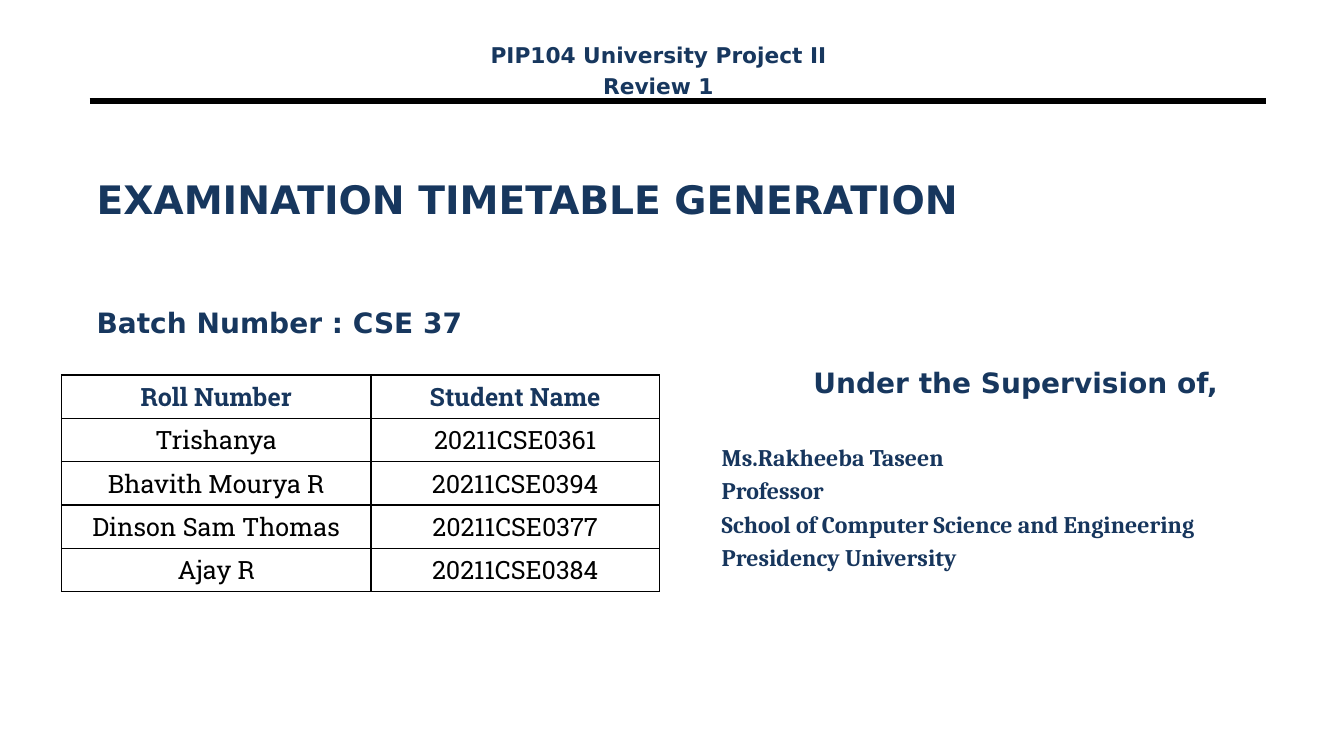
from lxml import etree
from pptx import Presentation
from pptx.dml.color import RGBColor
from pptx.enum import shapes, text
from pptx.oxml import ns
from pptx.util import Inches, Pt

NAVY = RGBColor(0x17, 0x37, 0x5E)
BLUE = RGBColor(0x17, 0x36, 0x5D)
BLACK = RGBColor(0, 0, 0)
SANS, SERIF, SLAB = "DejaVu Sans", "Cambria", "Roboto Slab"
LEFT, MID = text.PP_ALIGN.LEFT, text.PP_ALIGN.CENTER

ROWS = [
    ("Roll Number", "Student Name"),
    ("Trishanya", "20211CSE0361"),
    ("Bhavith Mourya R", "20211CSE0394"),
    ("Dinson Sam Thomas", "20211CSE0377"),
    ("Ajay R", "20211CSE0384"),
]
GUIDE = [
    "Ms.Rakheeba Taseen",
    "Professor",
    "School of Computer Science and Engineering",
    "Presidency University",
]


def style(para, font, size, color, bold=True, align=LEFT, gap=0):
    para.alignment = align
    para.space_before = Pt(gap)
    for run in para.runs:
        run.font.name = font
        run.font.size = Pt(size)
        run.font.bold = bold
        run.font.color.rgb = color


def add_text(slide, box, lines, size, align=LEFT, gap=0):
    frame = slide.shapes.add_textbox(*map(Inches, box)).text_frame
    frame.word_wrap = True
    frame.text = "\n".join(lines)
    for para in frame.paragraphs:
        style(para, SANS, size, NAVY, align=align, gap=gap)
    return frame


def add_rule(slide):
    rule = slide.shapes.add_connector(
        shapes.MSO_CONNECTOR.STRAIGHT,
        Inches(0.89), Inches(1), Inches(12.56), Inches(1))
    rule.line.color.rgb = BLACK
    rule.line.width = Pt(4.5)
    etree.SubElement(rule._element.spPr, ns.qn("a:effectLst"))


def add_edges(cell):
    props = cell._tc.get_or_add_tcPr()
    for i, side in enumerate(("lnL", "lnR", "lnT", "lnB")):
        edge = etree.Element(ns.qn("a:" + side), w=str(Pt(1)))
        fill = etree.SubElement(edge, ns.qn("a:solidFill"))
        etree.SubElement(fill, ns.qn("a:srgbClr"), val=str(BLACK))
        props.insert(i, edge)


def add_team(slide):
    table = slide.shapes.add_table(
        len(ROWS), 2, Inches(0.61), Inches(3.72),
        Inches(5.93), Inches(0.43 * len(ROWS))).table
    table.horz_banding = False
    for col, width in zip(table.columns, (3.07, 2.86)):
        col.width = Inches(width)
    for r, row in enumerate(ROWS):
        for c, word in enumerate(row):
            cell = table.cell(r, c)
            cell.text = word
            cell.vertical_anchor = text.MSO_ANCHOR.MIDDLE
            cell.fill.background()
            head = r == 0
            style(cell.text_frame.paragraphs[0], SLAB, 18,
                  BLUE if head else BLACK, head, MID)
            add_edges(cell)


def add_guide(slide):
    frame = add_text(slide, (7.06, 3.58, 6.03, 2.66),
                     ["Under the Supervision of,"] + GUIDE, 20, MID)
    for i, para in enumerate(frame.paragraphs[1:]):
        style(para, SERIF, 17, BLUE, gap=3.4 if i else 31)


def main():
    deck = Presentation()
    deck.slide_width = Inches(13.33)
    deck.slide_height = Inches(7.5)
    slide = deck.slides.add_slide(deck.slide_layouts[6])
    add_rule(slide)
    title = add_text(slide, (0.86, 1.17, 11.33, 1.61),
                     ["EXAMINATION TIMETABLE GENERATION"], 28)
    title.vertical_anchor = text.MSO_ANCHOR.MIDDLE
    add_text(slide, (0.86, 2.98, 4.34, 0.6), ["Batch Number : CSE 37"], 20)
    add_guide(slide)
    add_text(slide, (4.36, 0.37, 4.34, 0.6),
             ["PIP104 University Project II", "Review 1"], 15.5, MID, 3.1)
    add_team(slide)
    deck.save("out.pptx")


if __name__ == "__main__":
    main()
